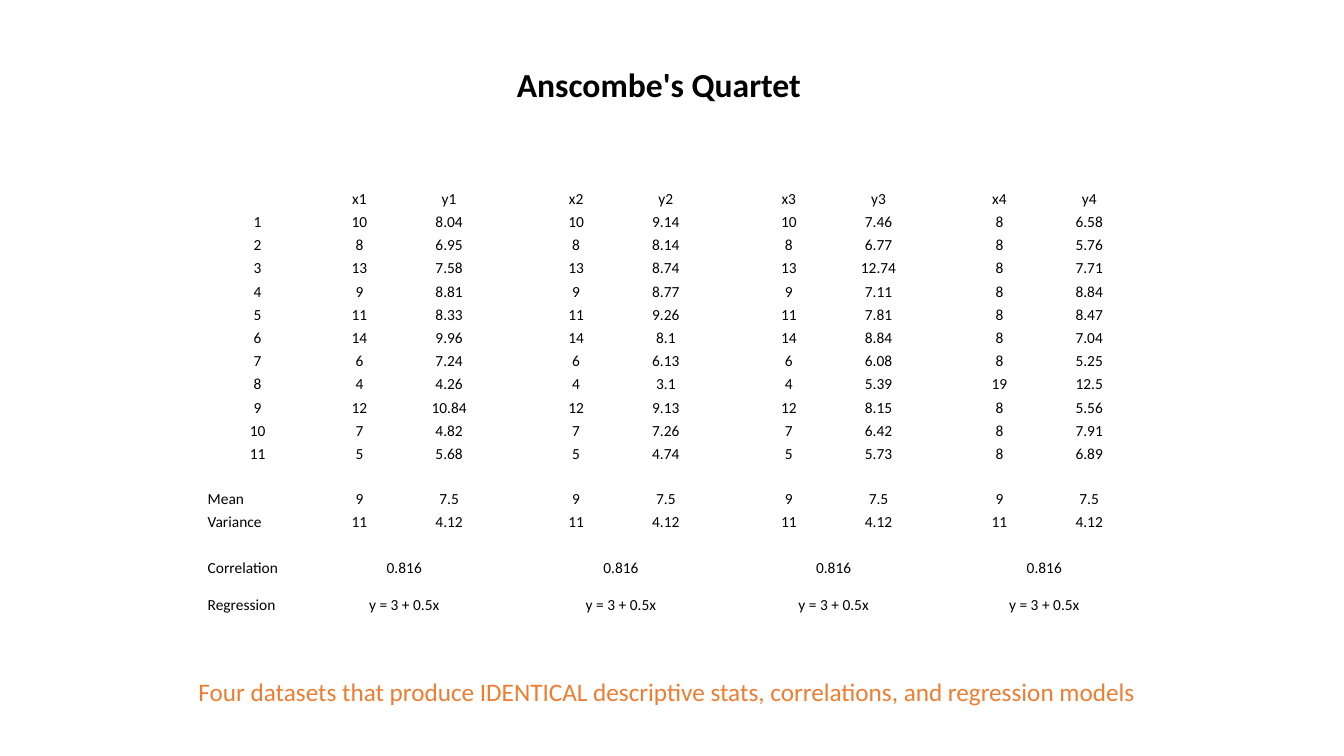
from lxml.etree import SubElement
from pptx import Presentation
from pptx.dml.color import RGBColor
from pptx.enum.text import MSO_ANCHOR as Anchor, MSO_AUTO_SIZE as AutoSize, PP_ALIGN as Align
from pptx.oxml.ns import qn
from pptx.util import Inches, Pt

BLACK, ORANGE = "000000", "ED7D31"
LINE_SPACING = 1.15
TABLE_SIZE = 11

# Observations: the first three sets share their x values
SHARED_X = [10, 8, 13, 9, 11, 14, 6, 4, 12, 7, 5]
FOURTH_X = [8, 8, 8, 8, 8, 8, 8, 19, 8, 8, 8]
DATASETS = [
    (SHARED_X, [8.04, 6.95, 7.58, 8.81, 8.33, 9.96, 7.24, 4.26, 10.84, 4.82, 5.68]),
    (SHARED_X, [9.14, 8.14, 8.74, 8.77, 9.26, 8.1, 6.13, 3.1, 9.13, 7.26, 4.74]),
    (SHARED_X, [7.46, 6.77, 12.74, 7.11, 7.81, 8.84, 6.08, 5.39, 8.15, 6.42, 5.73]),
    (FOURTH_X, [6.58, 5.76, 7.71, 8.84, 8.47, 7.04, 5.25, 12.5, 5.56, 7.91, 6.89]),
]
# Statistics that are the same for every set
PAIR_STATS = [("Mean", 9, 7.5), ("Variance", 11, 4.12)]
SHARED_STATS = [("Correlation", "0.816"), ("Regression", "y = 3 + 0.5x")]

# Columns: row label, then x and y per set with a narrow gap between sets
VALUE_WIDTH = 0.89
GAP_WIDTHS = [0.37, 0.33, 0.31]
COLUMN_WIDTHS = [1.13] + [VALUE_WIDTH] * 2
for gap_width in GAP_WIDTHS:
    COLUMN_WIDTHS += [gap_width, VALUE_WIDTH, VALUE_WIDTH]
ROW_HEIGHTS = [0.23] * 12 + [0.45, 0.23, 0.45, 0.37, 0.22, 0.24]


def rgb(color):
    return RGBColor.from_string(color)


def apply(target, values):
    for name, value in values.items():
        setattr(target, name, value)


def write(paragraph, text, size, color=BLACK, bold=False, **layout):
    apply(paragraph, layout)
    run = paragraph.add_run()
    run.text = text
    apply(run.font, {"name": "Calibri", "size": Pt(size), "bold": bold})
    run.font.color.rgb = rgb(color)


def add_line(slide, left, top, width, height, text, size, **style):
    frame = slide.shapes.add_textbox(*map(Inches, (left, top, width, height))).text_frame
    apply(frame, {"word_wrap": False, "auto_size": AutoSize.SHAPE_TO_FIT_TEXT})
    write(frame.paragraphs[0], text, size, **style)


def table_rows():
    """Each row holds a label and one (x, y) pair per set."""
    rows = [("", [(f"x{n}", f"y{n}") for n in range(1, len(DATASETS) + 1)])]
    for i in range(len(SHARED_X)):
        rows.append((str(i + 1), [(xs[i], ys[i]) for xs, ys in DATASETS]))
    rows += [(label, [(x, y)] * len(DATASETS)) for label, x, y in PAIR_STATS]
    rows += [(label, [(value, "")] * len(DATASETS)) for label, value in SHARED_STATS]
    return rows


def format_cell(cell, text, align):
    apply(cell, {
        "vertical_anchor": Anchor.BOTTOM,
        "margin_left": Inches(0.07), "margin_right": Inches(0.07),
        "margin_top": 0, "margin_bottom": 0,
    })
    cell.fill.background()
    paragraph = cell.text_frame.paragraphs[0]
    if text:
        write(paragraph, text, TABLE_SIZE, alignment=align, line_spacing=LINE_SPACING)
    else:
        # Keeps blank cells from stretching their row
        SubElement(paragraph._p, qn("a:endParaRPr"), sz=str(TABLE_SIZE * 100))


def add_quartet_table(slide):
    table = slide.shapes.add_table(
        len(ROW_HEIGHTS), len(COLUMN_WIDTHS), Inches(1.99), Inches(1.84),
        Inches(sum(COLUMN_WIDTHS)), Inches(sum(ROW_HEIGHTS))).table
    apply(table, {"first_row": False, "horz_banding": False})
    for column, width in zip(table.columns, COLUMN_WIDTHS):
        column.width = Inches(width)
    for row, height in zip(table.rows, ROW_HEIGHTS):
        row.height = Inches(height)

    # Place the texts by grid position
    texts = {}
    for r, (label, pairs) in enumerate(table_rows()):
        texts[r, 0] = label
        for n, (x, y) in enumerate(pairs):
            column = 1 + 3 * n
            texts[r, column], texts[r, column + 1] = str(x), str(y)
            if label in dict(SHARED_STATS):
                table.cell(r, column).merge(table.cell(r, column + 1))

    for r in range(len(ROW_HEIGHTS)):
        for c in range(len(COLUMN_WIDTHS)):
            text = texts.get((r, c), "")
            is_stat_label = c == 0 and not text.isdigit()
            format_cell(table.cell(r, c), text, Align.LEFT if is_stat_label else Align.CENTER)


def main():
    deck = Presentation()
    apply(deck, {"slide_width": Inches(13.33), "slide_height": Inches(7.5)})
    slide = deck.slides.add_slide(deck.slide_layouts[6])

    add_quartet_table(slide)
    # Title and takeaway
    add_line(slide, 5.01, 0.53, 3.05, 0.54, "Anscombe's Quartet", 24, bold=True,
             alignment=Align.CENTER, line_spacing=LINE_SPACING, space_after=Pt(10))
    add_line(slide, 1.87, 6.66, 9.6, 0.4,
             "Four datasets that produce IDENTICAL descriptive stats, "
             "correlations, and regression models", 18, color=ORANGE)
    deck.save("out.pptx")


if __name__ == "__main__":
    main()
